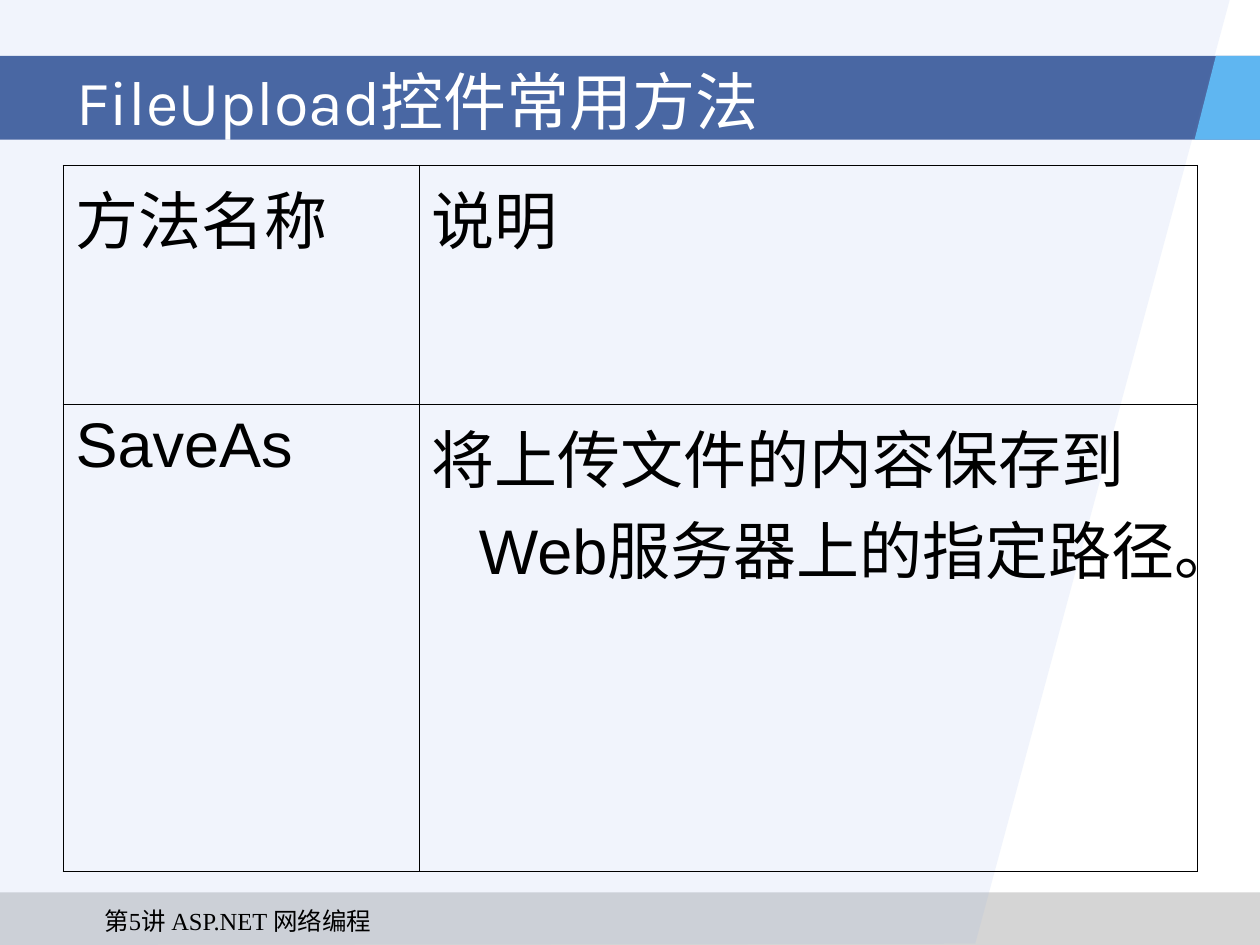
from dataclasses import dataclass

from lxml.etree import SubElement
from pptx import Presentation
from pptx.dml.color import RGBColor
from pptx.enum.shapes import MSO_SHAPE
from pptx.enum.text import MSO_ANCHOR, MSO_AUTO_SIZE, PP_ALIGN
from pptx.oxml.ns import qn
from pptx.util import Pt

TITLE = "FileUpload控件常用方法"
METHODS = [
    ("方法名称", "说明"),
    ("SaveAs", "将上传文件的内容保存到Web服务器上的指定路径。"),
]
FOOTER = "第5讲 ASP.NET 网络编程"


@dataclass(frozen=True)
class Theme:
    title_font: str = "Karla"
    body_font: str = "Arial"
    footer_font: str = "Times New Roman"
    body_size: int = 36
    footer_size: int = 14
    white: str = "FFFFFF"
    ink: str = "000000"
    grey: str = "969696"
    pale: str = "94B1EC"
    navy: str = "173D89"
    sky: str = "5FB6F1"
    border: float = 0.45


THEME = Theme()
WIDTH, HEIGHT = 720, 540
BAND_TOP, BAND_HEIGHT = 31.9, 47.9
FOOTER_TOP = 510
COLUMNS = (203.5, 444.5)
ROWS = (136.7, 267)
TABLE_LEFT, TABLE_TOP = 36, 94.4
HANGING = 27


def paint(shape, color, opacity=100):
    shape.shadow.inherit = False
    shape.line.fill.background()
    shape.fill.solid()
    shape.fill.fore_color.rgb = RGBColor.from_string(color)
    if opacity < 100:
        srgb = shape.fill._xPr.find(qn("a:solidFill"))[0]
        SubElement(srgb, qn("a:alpha"), val=str(opacity * 1000))


def add_band(shapes, top, height, color, opacity):
    band = shapes.add_shape(MSO_SHAPE.RECTANGLE, Pt(0), Pt(top), Pt(WIDTH), Pt(height))
    paint(band, color, opacity)


def add_outline(shapes, points, color, opacity=100):
    start, *rest = [(Pt(x), Pt(y)) for x, y in points]
    builder = shapes.build_freeform(*start)
    builder.add_line_segments(rest, close=True)
    paint(builder.convert_to_shape(), color, opacity)


def write(frame, text, font, size, color, margin=0, indent=0):
    frame.text = text
    frame.word_wrap = True
    paragraph = frame.paragraphs[0]
    paragraph.alignment = PP_ALIGN.LEFT
    properties = paragraph._p.get_or_add_pPr()
    properties.set("marL", str(Pt(margin)))
    properties.set("indent", str(Pt(indent)))
    for run in paragraph.runs:
        run.font.name = font
        run.font.size = Pt(size)
        run.font.color.rgb = RGBColor.from_string(color)


def style_cell(cell, text):
    write(cell.text_frame, text, THEME.body_font, THEME.body_size, THEME.ink,
          HANGING, -HANGING)
    properties = cell._tc.get_or_add_tcPr()
    for side in ("lnL", "lnR", "lnT", "lnB"):
        line = SubElement(properties, qn(f"a:{side}"), w=str(Pt(THEME.border)))
        fill = SubElement(line, qn("a:solidFill"))
        SubElement(fill, qn("a:srgbClr"), val=THEME.ink)
    cell.fill.background()


def add_background(shapes):
    add_band(shapes, FOOTER_TOP, HEIGHT - FOOTER_TOP, THEME.grey, 40)
    add_outline(shapes, [(0, 0), (702.7, 0), (557.3, 539.3), (0, HEIGHT)],
                THEME.pale, 13)
    add_band(shapes, BAND_TOP, BAND_HEIGHT, THEME.navy, 77)
    bottom = BAND_TOP + BAND_HEIGHT
    add_outline(shapes, [(694.8, BAND_TOP), (682.6, bottom), (WIDTH, bottom),
                         (WIDTH, BAND_TOP)], THEME.sky)


def add_title(shapes):
    title = shapes.title
    shapes._spTree.append(title._element)
    title.left, title.top, title.width, title.height = Pt(36.7), Pt(26), Pt(648), Pt(62.6)
    write(title.text_frame, TITLE, THEME.title_font, THEME.body_size, THEME.white)
    title.text_frame.auto_size = MSO_AUTO_SIZE.NONE
    title.text_frame.vertical_anchor = MSO_ANCHOR.MIDDLE


def add_methods(shapes):
    table = shapes.add_table(len(ROWS), len(COLUMNS), Pt(TABLE_LEFT), Pt(TABLE_TOP),
                             Pt(sum(COLUMNS)), Pt(sum(ROWS))).table
    table.first_row = table.horz_banding = False
    for column, width in zip(table.columns, COLUMNS):
        column.width = Pt(width)
    for row, height, texts in zip(table.rows, ROWS, METHODS):
        row.height = Pt(height)
        for cell, text in zip(row.cells, texts):
            style_cell(cell, text)


def add_footer(shapes):
    footer = shapes.add_textbox(Pt(35.3), Pt(514), Pt(256.3), Pt(17.3))
    write(footer.text_frame, FOOTER, THEME.footer_font, THEME.footer_size,
          THEME.ink, 17.3)


def main():
    deck = Presentation()
    deck.slide_width, deck.slide_height = Pt(WIDTH), Pt(HEIGHT)
    slide = deck.slides.add_slide(deck.slide_layouts[5])
    for add_part in (add_background, add_title, add_methods, add_footer):
        add_part(slide.shapes)
    deck.save("out.pptx")


if __name__ == "__main__":
    main()
